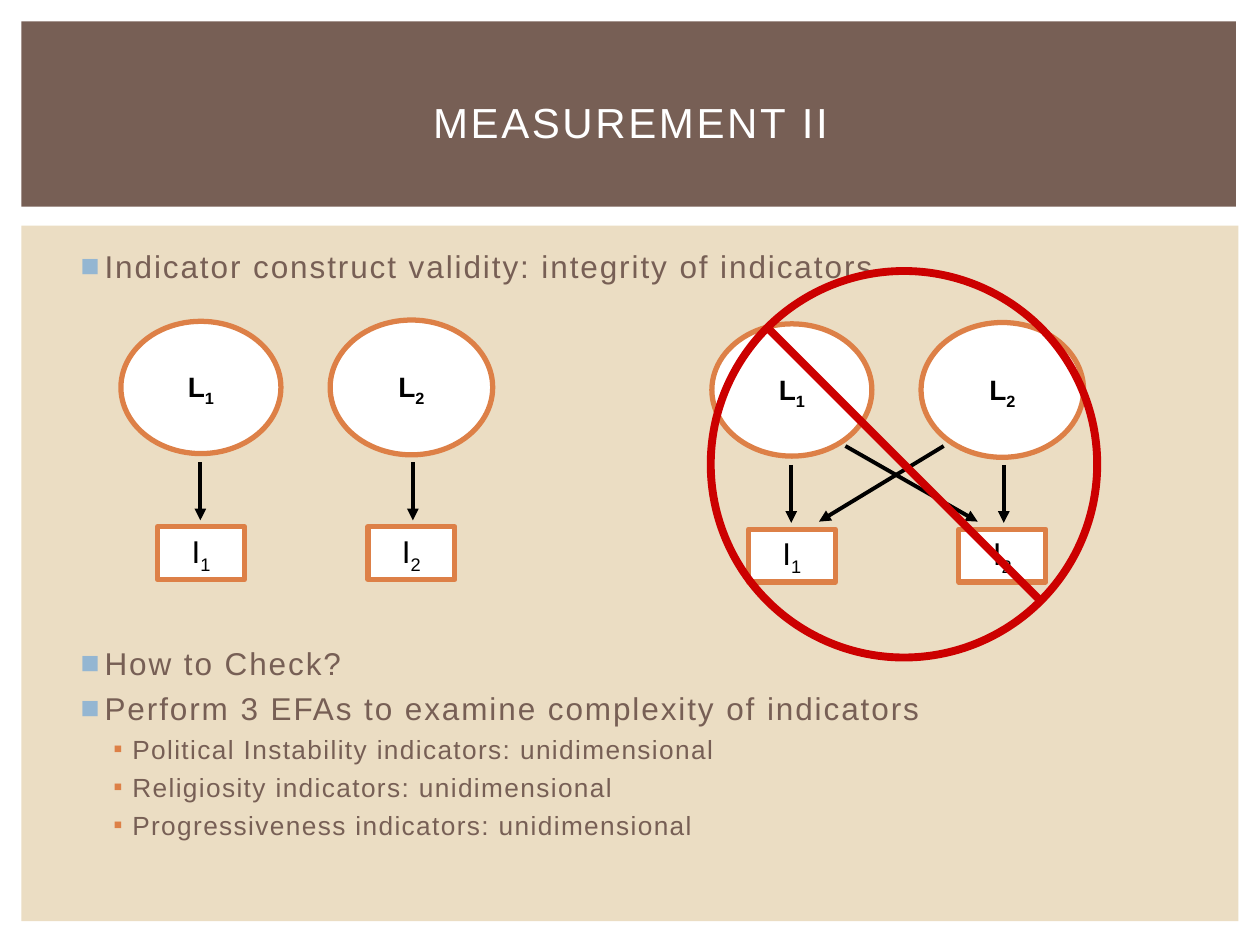
from lxml import etree
from pptx import Presentation
from pptx.dml.color import RGBColor
from pptx.enum import shapes, text
from pptx.oxml import ns
from pptx.util import Inches, Pt

WHITE = RGBColor(0xFF, 0xFF, 0xFF)
BLACK = RGBColor(0, 0, 0)
SAND = RGBColor(0xEB, 0xDD, 0xC3)
BROWN = RGBColor(0x77, 0x5F, 0x55)
ORANGE = RGBColor(0xDD, 0x80, 0x47)
BLUE = RGBColor(0x94, 0xB6, 0xD2)
RED = RGBColor(0xCC, 0, 0)
SHAPE = shapes.MSO_SHAPE


def add_run(paragraph, words, size, color, bold=False, tracking=0, baseline=0):
    """Add formatted text to a paragraph."""
    run = paragraph.add_run()
    run.text = words
    run.font.name = "Arial"
    run.font.size = Pt(size)
    run.font.bold = bold
    run.font.color.rgb = color
    properties = run.font._element
    if tracking:
        properties.set("spc", str(round(tracking * 100)))
    if baseline:
        properties.set("baseline", str(baseline * 1000))


def clear_margins(frame):
    """Wrap the text and remove the inner margins of a frame."""
    frame.word_wrap = True
    frame.margin_left = frame.margin_right = 0
    frame.margin_top = frame.margin_bottom = 0


def add_figure(slide, kind, left, top, width, height, fill, line=None):
    """Add a filled preset shape with an optional outline."""
    shape = slide.shapes.add_shape(kind, Inches(left), Inches(top), Inches(width), Inches(height))
    shape.shadow.inherit = False
    shape.fill.solid()
    shape.fill.fore_color.rgb = fill
    if line is None:
        shape.line.fill.background()
    else:
        shape.line.color.rgb = line
        shape.line.width = Pt(3)
    return shape


def add_node(slide, kind, box, letter, index, size, bold=False, spacing=1.0):
    """Add an outlined node labelled with a letter and a subscript."""
    shape = add_figure(slide, kind, *box, WHITE, ORANGE)
    frame = shape.text_frame
    clear_margins(frame)
    frame.vertical_anchor = text.MSO_ANCHOR.MIDDLE
    paragraph = frame.paragraphs[0]
    paragraph.alignment = text.PP_ALIGN.CENTER
    paragraph.line_spacing = spacing
    add_run(paragraph, letter, size, BLACK, bold)
    add_run(paragraph, str(index), size, BLACK, bold, baseline=-25)


def add_arrow(slide, x1, y1, x2, y2):
    """Add a black arrow between two points."""
    arrow = slide.shapes.add_connector(
        shapes.MSO_CONNECTOR.STRAIGHT, Inches(x1), Inches(y1), Inches(x2), Inches(y2))
    arrow.line.color.rgb = BLACK
    arrow.line.width = Pt(2.25)
    tail = etree.SubElement(arrow.line._get_or_add_ln(), ns.qn("a:tailEnd"))
    tail.set("type", "triangle")
    etree.SubElement(arrow._element.spPr, ns.qn("a:effectLst"))


def add_model(slide, left, top, crossed=False):
    """Draw two latent variables above their indicators."""
    latents = [(0, 0, 1.27, 1.05), (1.66, -0.01, 1.29, 1.07)]
    for index, (x, y, width, height) in enumerate(latents, 1):
        step = 1.67 * (index - 1)
        add_node(slide, SHAPE.OVAL, (left + x, top + y, width, height), "L", index, 16, True, 1.07)
        add_node(slide, SHAPE.RECTANGLE, (left + 0.29 + step, top + 1.63, 0.69, 0.42), "I", index, 18)
        center = left + 0.63 + 1.01 * step
        add_arrow(slide, center, top + 1.12, center, top + 1.58)
    if crossed:
        for start, end in [(1.06, 2.11), (1.84, 0.85)]:
            add_arrow(slide, left + start, top + 0.97, left + end, top + 1.57)


def add_bullets(slide, left, top, width, height, items):
    """Add a bulleted list of (level, words) items."""
    styles = [
        dict(size=18, tracking=1.1, before=4.2, indent=0.23, hang=0.19, mark="■", color=BLUE),
        dict(size=15, tracking=0.8, before=3.7, indent=0.45, hang=0.15, mark="▪", color=ORANGE),
    ]
    frame = slide.shapes.add_textbox(
        Inches(left), Inches(top), Inches(width), Inches(height)).text_frame
    clear_margins(frame)
    for number, (level, words) in enumerate(items):
        style = styles[level]
        paragraph = frame.add_paragraph() if number else frame.paragraphs[0]
        paragraph.level = level
        paragraph.space_before = Pt(style["before"] if number else 0)
        properties = paragraph._p.get_or_add_pPr()
        properties.set("marL", str(Inches(style["indent"])))
        properties.set("indent", str(-Inches(style["hang"])))
        color = etree.SubElement(properties, ns.qn("a:buClr"))
        etree.SubElement(color, ns.qn("a:srgbClr")).set("val", str(style["color"]))
        etree.SubElement(properties, ns.qn("a:buFont")).set("typeface", "Arial")
        etree.SubElement(properties, ns.qn("a:buChar")).set("char", style["mark"])
        add_run(paragraph, words, style["size"], BROWN, tracking=style["tracking"])


def add_header(slide, left, top, width, height, title):
    """Draw the title band with its centred title."""
    add_figure(slide, SHAPE.RECTANGLE, left, top, width, height, BROWN)
    frame = slide.shapes.add_textbox(
        Inches(left + 0.25), Inches(top + 0.22), Inches(9.17), Inches(1.15)).text_frame
    frame.word_wrap = True
    frame.vertical_anchor = text.MSO_ANCHOR.MIDDLE
    paragraph = frame.paragraphs[0]
    paragraph.alignment = text.PP_ALIGN.CENTER
    add_run(paragraph, title, 24, WHITE, tracking=1.5)


def add_body(slide, left, top, width, height):
    """Draw the content panel with its lists and models."""
    add_figure(slide, SHAPE.RECTANGLE, left, top, width, height, SAND)
    add_bullets(slide, left + 0.43, top + 0.17, 8.88, 0.3, [
        (0, "Indicator construct validity: integrity of indicators"),
    ])
    add_bullets(slide, left + 0.43, top + 3.32, 8.88, 1.6, [
        (0, "How to Check?"),
        (0, "Perform 3 EFAs to examine complexity of indicators"),
        (1, "Political Instability indicators: unidimensional"),
        (1, "Religiosity indicators: unidimensional"),
        (1, "Progressiveness indicators: unidimensional"),
    ])
    add_model(slide, left + 0.79, top + 0.76)
    add_model(slide, left + 5.48, top + 0.78, crossed=True)
    ban = add_figure(slide, SHAPE.NO_SYMBOL, left + 5.44, top + 0.33, 3.13, 3.13, RED)
    ban.adjustments[0] = 0.02


presentation = Presentation()
presentation.slide_width = Inches(10)
presentation.slide_height = Inches(7.5)
slide = presentation.slides.add_slide(presentation.slide_layouts[6])
add_header(slide, 0.17, 0.17, 9.64, 1.47, "MEASUREMENT II")
add_body(slide, 0.17, 1.79, 9.66, 5.52)
presentation.save("out.pptx")
